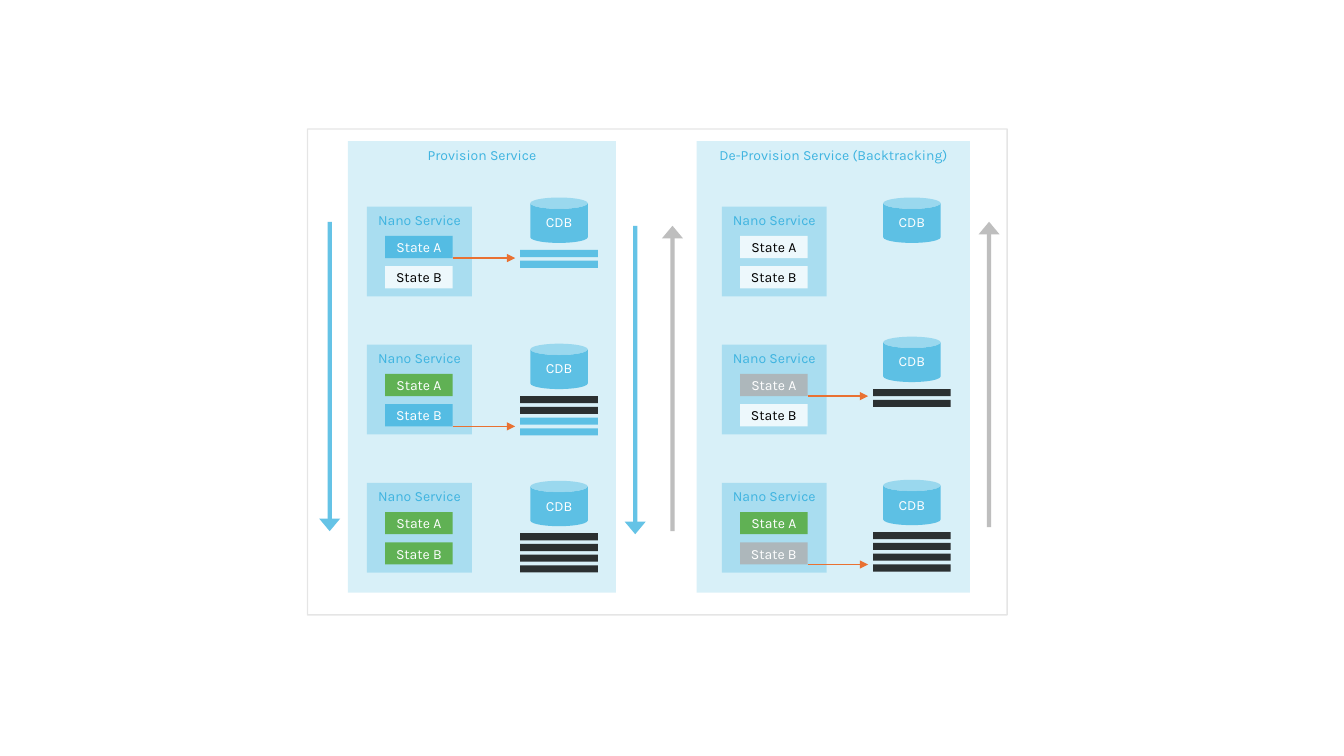
import pptx
import pptx.util
import pptx.dml.color
import pptx.enum.shapes
import pptx.enum.text
import pptx.oxml
import pptx.oxml.ns
from dataclasses import dataclass

Inches, Pt = pptx.util.Inches, pptx.util.Pt
SHAPE = pptx.enum.shapes.MSO_SHAPE
ANCHOR = pptx.enum.text.MSO_ANCHOR


@dataclass(frozen=True)
class Theme:
    font: str = "Karla"
    size: int = 10
    blue: str = "3FB4E0"
    green: str = "4EA72E"
    grey: str = "AEAEAE"
    orange: str = "E97132"
    border: str = "808080"
    black: str = "000000"
    white: str = "FFFFFF"


T = Theme()

# Content: each row holds the colours of State A and State B, the top of the
# database, the colours of its records, and the state that writes to it
PANELS = [
    dict(title="De-Provision Service (Backtracking)", box=(6.91, 1.4, 2.71, 4.48),
         service_x=7.16, record_x=8.66, rows=[
             ((T.white, T.white), 1.96, [], None),
             ((T.grey, T.white), 3.34, [T.black] * 2, 0),
             ((T.green, T.grey), 4.76, [T.black] * 4, 1)]),
    dict(title="Provision Service", box=(3.45, 1.4, 2.66, 4.48),
         service_x=3.64, record_x=5.16, rows=[
             ((T.blue, T.white), 1.96, [T.blue] * 2, 0),
             ((T.green, T.blue), 3.41, [T.black] * 2 + [T.blue] * 2, 1),
             ((T.green, T.green), 4.77, [T.black] * 4, None)]),
]
STATES = ["State A", "State B"]
# x, start y, end y, colour
FLOW_ARROWS = [
    (6.3, 2.24, 5.3, T.blue),
    (6.67, 5.27, 2.24, T.grey),
    (9.81, 5.23, 2.2, T.grey),
    (3.27, 2.2, 5.27, T.blue),
]

# Layout
FRAME = (3.05, 1.28, 6.94, 4.82)
ROW_TOP, ROW_STEP = 2.05, 1.37
SERVICE_W, SERVICE_H = 1.04, 0.89
STATE_DX, STATE_DY, STATE_STEP = 0.18, 0.29, 0.3
STATE_W, STATE_H = 0.67, 0.22
CAN_DX, CAN_W, CAN_H = 0.1, 0.57, 0.45
RECORD_DY, RECORD_STEP = 0.52, 0.32 / 3
RECORD_W, RECORD_H = 0.77, 0.07


def rgb(color):
    return pptx.dml.color.RGBColor.from_string(color)


def paint(fill, color, opacity):
    fill.solid()
    fill.fore_color.rgb = rgb(color)
    if opacity < 100:
        tag = pptx.oxml.ns.qn("a:srgbClr")
        parent = fill._xPr if hasattr(fill, "_xPr") else None
        for clr in parent.find(pptx.oxml.ns.qn("a:solidFill")).iter(tag):
            set_alpha(clr, opacity)


def set_alpha(clr, opacity):
    alpha = pptx.oxml.parse_xml(
        f'<a:alpha {pptx.oxml.ns.nsdecls("a")} val="{opacity * 1000}"/>')
    clr.append(alpha)


def set_line(line, color, width, opacity=100):
    line.width = Pt(width)
    line.color.rgb = rgb(color)
    if opacity < 100:
        for clr in line._get_or_add_ln().iter(pptx.oxml.ns.qn("a:srgbClr")):
            set_alpha(clr, opacity)


def add_box(s, box, color, opacity, text="", text_color=T.white,
            kind=SHAPE.RECTANGLE, anchor=ANCHOR.TOP):
    sp = s.shapes.add_shape(kind, *map(Inches, box))
    sp.shadow.inherit = False
    sp.line.fill.background()
    if color:
        paint(sp.fill, color, opacity)
    else:
        sp.fill.background()
    if text:
        tf = sp.text_frame
        tf.word_wrap = True
        tf.margin_left = tf.margin_right = 0
        tf.vertical_anchor = anchor
        p = tf.paragraphs[0]
        p.text = text
        p.alignment = pptx.enum.text.PP_ALIGN.CENTER
        p.font.name, p.font.size = T.font, Pt(T.size)
        p.font.color.rgb = rgb(text_color)
    return sp


def add_arrow(s, start, end, color, width, opacity=100, head="med"):
    cx = s.shapes.add_connector(pptx.enum.shapes.MSO_CONNECTOR.STRAIGHT,
                                *map(Inches, start + end))
    set_line(cx.line, color, width, opacity)
    ns = pptx.oxml.ns.nsdecls("a")
    cx.line._get_or_add_ln().append(pptx.oxml.parse_xml(
        f'<a:tailEnd {ns} type="triangle" w="{head}" len="med"/>'))
    cx._element.spPr.append(pptx.oxml.parse_xml(f"<a:effectLst {ns}/>"))


def add_row(s, panel, index, row):
    colors, can_y, records, writer = row
    x, y = panel["service_x"], ROW_TOP + index * ROW_STEP
    rx = panel["record_x"]

    # Nano service and its states
    add_box(s, (x, y, SERVICE_W, SERVICE_H), T.blue, 30, "Nano Service", T.blue)
    for i, (state, color) in enumerate(zip(STATES, colors)):
        box = (x + STATE_DX, y + STATE_DY + i * STATE_STEP, STATE_W, STATE_H)
        ink = T.black if color == T.white else T.white
        add_box(s, box, color, 80, state, ink, anchor=ANCHOR.MIDDLE)

    # Database and its records
    add_box(s, (rx + CAN_DX, can_y, CAN_W, CAN_H), T.blue, 80, "CDB", kind=SHAPE.CAN)
    for i, color in enumerate(records):
        box = (rx, can_y + RECORD_DY + i * RECORD_STEP, RECORD_W, RECORD_H)
        add_box(s, box, color, 80, kind=SHAPE.FLOWCHART_PROCESS)

    # Arrow from the lower corner of the writing state
    if writer is not None:
        ay = y + STATE_DY + writer * STATE_STEP + STATE_H
        add_arrow(s, (x + STATE_DX + STATE_W, ay), (rx - 0.05, ay), T.orange, 1)


def main():
    prs = pptx.Presentation()
    prs.slide_width, prs.slide_height = Inches(13.33), Inches(7.5)
    s = prs.slides.add_slide(prs.slide_layouts[6])

    # Frame and panels
    frame = add_box(s, FRAME, None, 100)
    set_line(frame.line, T.border, 1, 20)
    for panel in PANELS:
        add_box(s, panel["box"], T.blue, 20, panel["title"], T.blue)
        for index, row in enumerate(panel["rows"]):
            add_row(s, panel, index, row)

    # Direction of each flow
    for x, y1, y2, color in FLOW_ARROWS:
        add_arrow(s, (x, y1), (x, y2), color, 3, 80, head="lg")
    prs.save("out.pptx")


if __name__ == "__main__":
    main()
